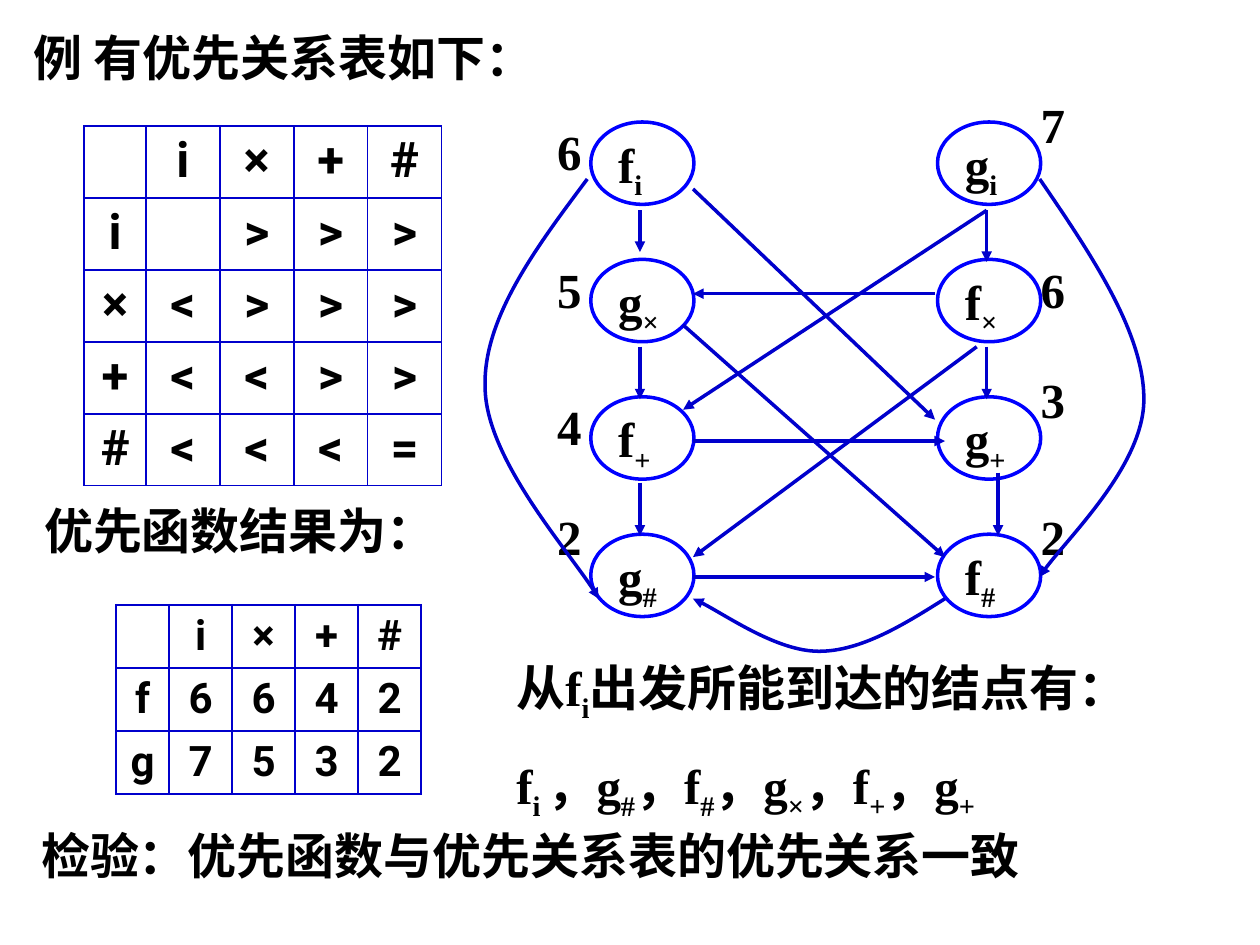
from lxml import etree
from pptx import Presentation
from pptx.dml.color import RGBColor
from pptx.enum.shapes import MSO_CONNECTOR, MSO_SHAPE
from pptx.enum.text import MSO_ANCHOR, MSO_AUTO_SIZE, PP_ALIGN
from pptx.oxml.ns import qn
from pptx.util import Cm, Pt

LINE = MSO_CONNECTOR.STRAIGHT
OVAL = MSO_SHAPE.OVAL
TOP = MSO_ANCHOR.TOP
NO_FIT = MSO_AUTO_SIZE.NONE
LEFT, MID = PP_ALIGN.LEFT, PP_ALIGN.CENTER

BLACK = RGBColor(0, 0, 0)
BLUE = RGBColor(0, 0, 0xFF)
NAVY = RGBColor(0, 0, 0xCC)
SERIF, SANS, CELL = "Times New Roman", "Arial", "Roboto"

ORDER = ["|i|×|+|#", "i||>|>|>", "×|<|>|>|>", "+|<|<|>|>", "#|<|<|<|="]
RESULT = ["|i|×|+|#", "f|6|6|4|2", "g|7|5|3|2"]

# Graph grid in cm: node columns, label columns, first row and row pitch
NODE_X, MARK_X = (11.91, 18.9), (11.23, 20.98)
ROW_Y, PITCH, RAISE = 2.46, 2.77, 0.56
# Node text, its value, and whether the value is raised
NODES = [
    [("f_i", "6", 0), ("g_×", "5", 0), ("f_+", "4", 0), ("g_#", "2", 1)],
    [("g_i", "7", 1), ("f_×", "6", 0), ("g_+", "3", 1), ("f_#", "2", 1)],
]
EDGES = [
    (12.9, 4.24, 12.9, 5.08), (13.97, 3.81, 18.85, 8.46),
    (19.89, 4.24, 19.89, 5.28), (18.85, 5.92, 13.97, 5.92),
    (19.89, 6.99, 19.89, 8.05), (19.69, 6.99, 13.97, 11.23),
    (19.89, 4.24, 13.77, 8.26), (12.9, 6.99, 12.9, 8.05),
    (13.97, 8.89, 19.05, 8.89), (12.9, 9.73, 12.9, 10.8),
    (13.77, 6.55, 19.05, 11.23), (20.12, 9.53, 20.12, 10.8),
    (13.97, 11.63, 18.85, 11.63),
]
# Start point, then three Bezier points for each segment
CURVES = [
    [(11.84, 3.61), (10.8, 5), (9.73, 6.43), (9.78, 7.82),
     (9.8, 9.25), (11.68, 11.35), (12.07, 12.07)],
    [(20.96, 3.61), (22.02, 5.16), (23.06, 6.71), (23.06, 8.05),
     (23.06, 9.37), (21.31, 11.05), (20.96, 11.63)],
    [(19.05, 12.07), (18.21, 12.6), (17.35, 13.13), (16.51, 13.13),
     (15.67, 13.13), (14.4, 12.24), (13.97, 12.07)],
]


def add_run(para, text, font=SERIF, size=28, sub=False):
    run = para.add_run()
    run.text = text
    run.font.name, run.font.size, run.font.bold = font, Pt(size), True
    run.font.color.rgb = BLACK
    if sub:
        run.font._element.set("baseline", "-25000")


def add_mixed(para, text):
    """Add runs; every second part between underscores is a subscript."""
    for n, part in enumerate(text.split("_")):
        add_run(para, part, sub=n % 2 == 1)


def set_frame(frame, wrap=True, inset=None):
    frame.word_wrap, frame.auto_size = wrap, NO_FIT
    frame.vertical_anchor = TOP
    if inset is not None:
        frame.margin_left = frame.margin_right = Cm(inset)
        frame.margin_top = frame.margin_bottom = Cm(inset)


def add_text(slide, box, lines, gap=0, wrap=True, inset=None):
    frame = slide.shapes.add_textbox(*map(Cm, box)).text_frame
    set_frame(frame, wrap, inset)
    for n, line in enumerate(lines):
        para = frame.add_paragraph() if n else frame.paragraphs[0]
        para.alignment, para.space_before = LEFT, Pt(gap)
        add_mixed(para, line)


def add_title(slide):
    title = slide.shapes.title
    title.left, title.top = Cm(0.43), Cm(0.43)
    title.width, title.height = Cm(11.43), Cm(1.45)
    set_frame(title.text_frame)
    para = title.text_frame.paragraphs[0]
    para.alignment, para.space_before = LEFT, Pt(17.5)
    para.line_spacing = 1.0
    add_run(para, "例 有")
    add_run(para, "优先关系表如下：", SANS)


def add_border(cell):
    props = cell._tc.get_or_add_tcPr()
    for side in ("lnL", "lnR", "lnT", "lnB"):
        line = etree.SubElement(props, qn("a:" + side), w=str(Pt(1.08)))
        fill = etree.SubElement(line, qn("a:solidFill"))
        etree.SubElement(fill, qn("a:srgbClr"), val=str(NAVY))


def add_grid(slide, left, top, first, step, high, rows, size):
    cells = [row.split("|") for row in rows]
    wide = [first] + [step] * (len(cells[0]) - 1)
    table = slide.shapes.add_table(
        len(cells), len(wide), Cm(left), Cm(top),
        Cm(sum(wide)), Cm(high * len(cells))).table
    table.first_row = table.horz_banding = False
    for col, width in zip(table.columns, wide):
        col.width = Cm(width)
    for r, row in enumerate(cells):
        table.rows[r].height = Cm(high)
        for c, text in enumerate(row):
            cell = table.cell(r, c)
            add_border(cell)
            cell.fill.background()
            para = cell.text_frame.paragraphs[0]
            para.alignment, para.space_before = MID, Pt(size / 4)
            if text:
                add_run(para, text, CELL, size)


def add_node(slide, x, y, text):
    node = slide.shapes.add_shape(OVAL, Cm(x), Cm(y), Cm(2.08), Cm(1.66))
    node.shadow.inherit = False
    node.fill.background()
    node.line.color.rgb, node.line.width = BLUE, Pt(2)
    set_frame(node.text_frame, inset=0)
    para = node.text_frame.paragraphs[0]
    para.alignment = LEFT
    add_mixed(para, " " + text)


def set_arrow(line):
    line.color.rgb, line.width = NAVY, Pt(2)
    etree.SubElement(line._get_or_add_ln(), qn("a:tailEnd"), type="triangle")


def add_edge(slide, ends):
    edge = slide.shapes.add_connector(LINE, *map(Cm, ends))
    set_arrow(edge.line)
    etree.SubElement(edge._element.spPr, qn("a:effectLst"))


def add_curve(slide, points):
    first, *rest = [(Cm(x), Cm(y)) for x, y in points]
    pen = slide.shapes.build_freeform(*first)
    pen.add_line_segments(rest, close=False)
    curve = pen.convert_to_shape()
    curve.shadow.inherit = False
    curve.fill.background()
    set_arrow(curve.line)
    # Turn each three line points into one Bezier segment
    route = next(curve._element.iter(qn("a:path")))
    steps = route.findall(qn("a:lnTo"))
    for n in range(0, len(steps), 3):
        bend = etree.SubElement(route, qn("a:cubicBezTo"))
        for step in steps[n:n + 3]:
            bend.append(step[0])
            route.remove(step)


def add_graph(slide):
    for x, mark, column in zip(NODE_X, MARK_X, NODES):
        for n, (text, value, up) in enumerate(column):
            y = ROW_Y + n * PITCH
            add_node(slide, x, y, text)
            add_text(slide, (mark, y - up * RAISE, 0.7, 1.12), [value], inset=0)
    for ends in EDGES:
        add_edge(slide, ends)
    for points in CURVES:
        add_curve(slide, points)


def main():
    deck = Presentation()
    deck.slide_width, deck.slide_height = Cm(25.4), Cm(19.05)
    slide = deck.slides.add_slide(deck.slide_layouts[5])
    # Title and precedence table
    add_title(slide)
    add_grid(slide, 1.7, 2.54, 1.24, 1.49, 1.45, ORDER, 28)
    # Graph of f and g nodes
    add_graph(slide)
    # Resulting functions and check
    add_text(slide, (0.64, 9.96, 8.38, 1.45), ["优先函数结果为："], wrap=False)
    add_grid(slide, 2.34, 12.19, 1.07, 1.27, 1.27, RESULT, 24)
    add_text(slide, (0.58, 16.51, 20.22, 1.45),
             ["检验：优先函数与优先关系表的优先关系一致"], wrap=False)
    # Reachable nodes
    add_text(slide, (10.16, 13.13, 13.97, 3.58),
             ["从f_i_出发所能到达的结点有：",
              "f_i _，g_#_，f_#_，g_×_，f_+_，g_+"], gap=17.5)
    deck.save("out.pptx")


if __name__ == "__main__":
    main()
